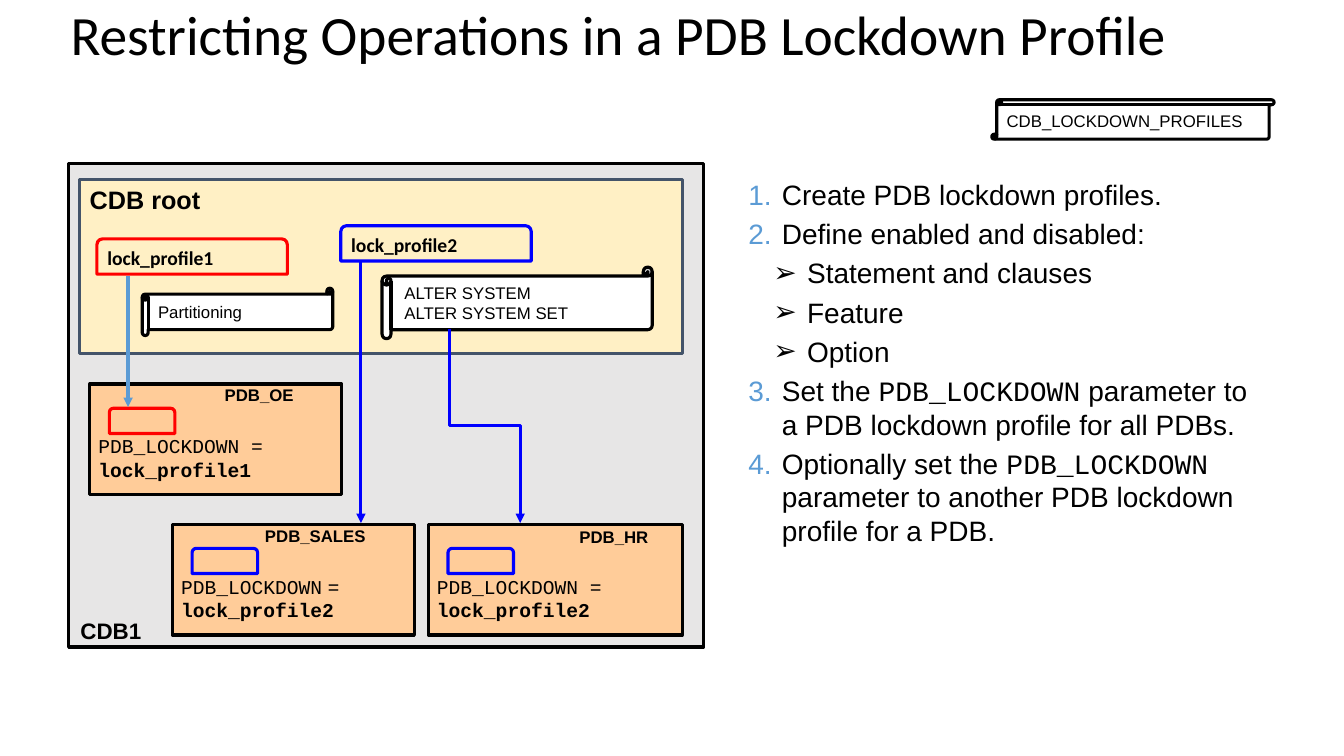
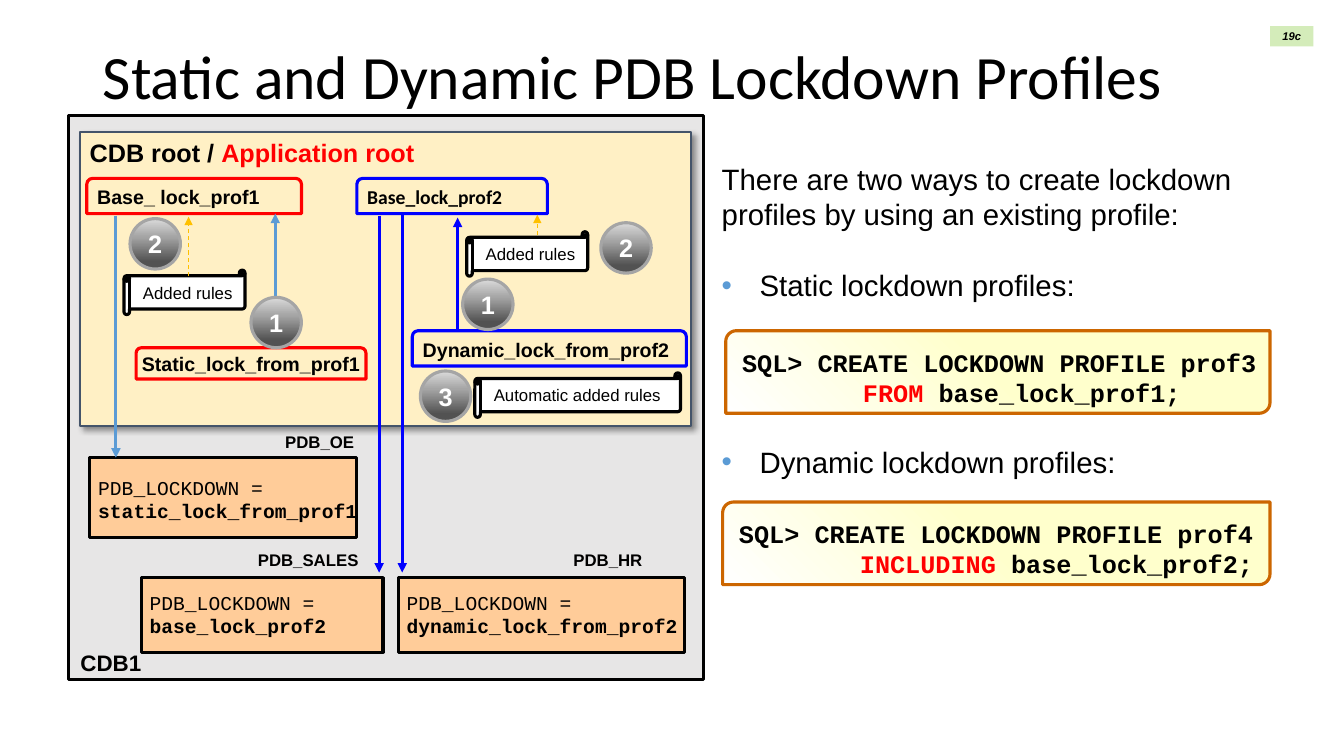
from lxml import etree
from pptx import Presentation
from pptx.dml.color import RGBColor
from pptx.enum.dml import MSO_LINE
from pptx.enum.shapes import MSO_CONNECTOR, MSO_SHAPE
from pptx.enum.text import MSO_ANCHOR, MSO_AUTO_SIZE, PP_ALIGN
from pptx.oxml.ns import qn
from pptx.util import Pt

RECT, ROUND_TOP = MSO_SHAPE.RECTANGLE, MSO_SHAPE.ROUND_2_SAME_RECTANGLE
ROUND_DIAGONAL, OVAL = MSO_SHAPE.ROUND_2_DIAG_RECTANGLE, MSO_SHAPE.OVAL
SCROLL_WIDE, SCROLL_TALL = MSO_SHAPE.HORIZONTAL_SCROLL, MSO_SHAPE.VERTICAL_SCROLL
STRAIGHT, ELBOW, DASH = MSO_CONNECTOR.STRAIGHT, MSO_CONNECTOR.ELBOW, MSO_LINE.DASH
TOP, MIDDLE = MSO_ANCHOR.TOP, MSO_ANCHOR.MIDDLE
LEFT, CENTER = PP_ALIGN.LEFT, PP_ALIGN.CENTER

BLACK, WHITE = RGBColor(0, 0, 0), RGBColor(255, 255, 255)
RED, BLUE = RGBColor(255, 0, 0), RGBColor(0, 0, 255)
SKY, GOLD = RGBColor(0x5B, 0x9B, 0xD5), RGBColor(0xFF, 0xC0, 0x00)
PANEL_GREY, CREAM = RGBColor(0xE7, 0xE6, 0xE6), RGBColor(0xFF, 0xF0, 0xC5)
PEACH, SLATE = RGBColor(0xFF, 0xCC, 0x99), RGBColor(0x44, 0x54, 0x6A)
MINT, RUST = RGBColor(0xD4, 0xEC, 0xBA), RGBColor(0xCC, 0x66, 0x00)
LEMON, SILVER = RGBColor(0xFF, 0xFF, 0xCC), RGBColor(0xA5, 0xA5, 0xA5)
PALE, CHARCOAL = RGBColor(0xDB, 0xDB, 0xDB), RGBColor(0x52, 0x52, 0x52)

MONO = {"name": "Courier New"}
MONO_BOLD = {"name": "Courier New", "bold": True}
SMALL = {"name": "Arial", "size": Pt(12)}
CODE = {**MONO_BOLD, "size": Pt(18)}
LINE_WIDTH = 2.25
NUMBERED = ("a:buAutoNum", {"type": "arabicPeriod"})
ARROWED = ("a:buChar", {"char": "➢"})
DOTTED = ("a:buChar", {"char": "•"})
PLAIN = ("a:buNone", {})


def bold(size, name="Arial"):
    return {"name": name, "size": Pt(size), "bold": True}


def apply(target, values):
    for name, value in values.items():
        setattr(target, name, value)


def points(*values):
    return [Pt(value) for value in values]


def offset(box, dx, dy, width, height):
    return box[0] + dx, box[1] + dy, width, height


def write(paragraph, runs, font):
    for text, extra in runs:
        values = {"color": BLACK, **font, **extra}
        run = paragraph.add_run()
        run.text = text
        run.font.color.rgb = values.pop("color")
        apply(run.font, values)


def fill_frame(frame, lines, font, align=LEFT, **layout):
    apply(frame, {"word_wrap": True, "vertical_anchor": TOP, **layout})
    for index, runs in enumerate(lines):
        paragraph = frame.add_paragraph() if index else frame.paragraphs[0]
        paragraph.alignment = align
        write(paragraph, runs, font)


def add_text(slide, box, runs, font):
    fill_frame(slide.shapes.add_textbox(*points(*box)).text_frame, [runs], font)


def add_block(slide, kind, box, fill=None, line=None, width=LINE_WIDTH):
    block = slide.shapes.add_shape(kind, *points(*box))
    block.shadow.inherit = False
    for paint, color in ((block.fill, fill), (block.line.fill, line)):
        if color is None:
            paint.background()
        else:
            paint.solid()
            paint.fore_color.rgb = color
    if line is not None:
        block.line.width = Pt(width)
    return block


def add_color(parent, color):
    return etree.SubElement(parent, qn("a:srgbClr"), val=str(color))


def set_gradient(block, stops, angle):
    block.fill.gradient()
    gradient = block._element.spPr.find(qn("a:gradFill"))
    stop_list = gradient.find(qn("a:gsLst"))
    for stop in list(stop_list):
        stop_list.remove(stop)
    for percent, color in stops:
        add_color(etree.SubElement(stop_list, qn("a:gs"), pos=str(percent * 1000)), color)
    gradient.find(qn("a:lin")).set("ang", str(angle * 60000))


def cast_shadow(block):
    effects = block._element.spPr.find(qn("a:effectLst"))
    shadow = etree.SubElement(effects, qn("a:outerShdw"), blurRad=str(Pt(4)),
                              dist=str(Pt(3)), dir=str(45 * 60000), rotWithShape="0")
    etree.SubElement(add_color(shadow, BLACK), qn("a:alpha"), val="40000")


def add_arrow(slide, start, end, color, kind=STRAIGHT, width=LINE_WIDTH, dash=None):
    arrow = slide.shapes.add_connector(kind, *points(*start, *end))
    arrow.line.color.rgb = color
    apply(arrow.line, {"width": Pt(width), "dash_style": dash})
    properties = arrow._element.spPr
    etree.SubElement(properties.find(qn("a:ln")), qn("a:tailEnd"), type="triangle")
    etree.SubElement(properties, qn("a:effectLst"))
    return arrow


def add_vertical_elbow(slide, start, end, color):
    center_x, center_y = (start[0] + end[0]) / 2, (start[1] + end[1]) / 2
    half_x, half_y = (end[0] - start[0]) / 2, (end[1] - start[1]) / 2
    arrow = add_arrow(slide, (center_x + half_y, center_y - half_x),
                      (center_x - half_y, center_y + half_x), color, ELBOW)
    arrow._element.spPr.find(qn("a:xfrm")).set("rot", str(270 * 60000))


def add_scroll(slide, box, texts, kind=SCROLL_WIDE, fill=WHITE, margin=9.6):
    scroll = add_block(slide, kind, box, fill, BLACK)
    fill_frame(scroll.text_frame, [[(text, {})] for text in texts], SMALL,
               vertical_anchor=MIDDLE, margin_left=Pt(margin), margin_right=0)


def add_profile(slide, box, name, color, face="Arial", margin=6.2):
    profile = add_block(slide, ROUND_TOP, box, line=color)
    fill_frame(profile.text_frame, [[(name, {})]], bold(14, face), vertical_anchor=MIDDLE,
               margin_left=Pt(margin), margin_right=0, margin_top=0, margin_bottom=0)


def add_step(slide, x, y, number):
    step = add_block(slide, OVAL, (x, y, 36, 36), WHITE, SILVER)
    set_gradient(step, [(0, PALE), (36, SILVER), (85, CHARCOAL)], 90)
    fill_frame(step.text_frame, [[(number, {"color": WHITE})]], bold(18), CENTER,
               vertical_anchor=MIDDLE, word_wrap=False)


def add_pdb(slide, box, name, name_at, setting, setting_dy, chip=None):
    add_block(slide, RECT, box, PEACH, BLACK)
    add_text(slide, offset(box, *name_at, 108, 21.6), [(name, {})], bold(12))
    add_text(slide, offset(box, -1, setting_dy, box[2] + 10, 41), setting,
             {**MONO, "size": Pt(14)})
    if chip is not None:
        add_block(slide, ROUND_TOP, offset(box, 14, 17.3, 46.8, 18), line=chip)


def setting_of(profile):
    return [("PDB_LOCKDOWN = ", {}), (profile, MONO_BOLD)]


def add_container(slide, box, root_size, root_runs, root_line):
    add_block(slide, RECT, box, PANEL_GREY, BLACK)
    add_text(slide, offset(box, 1.4, box[3] - 25, 91.4, 23), [("CDB1", {})], bold(16))
    root = add_block(slide, RECT, offset(box, 8, 11.5, *root_size), CREAM, SLATE, root_line)
    fill_frame(root.text_frame, [root_runs], bold(18))
    return root


def add_title(slide, box, text, size, margin_bottom=3.6):
    title = slide.shapes.title
    apply(title, dict(zip(("left", "top", "width", "height"), points(*box))))
    fill_frame(title.text_frame, [[(text, {})]], {"name": "Calibri", "size": Pt(size)},
               vertical_anchor=MIDDLE, auto_size=MSO_AUTO_SIZE.NONE,
               margin_bottom=Pt(margin_bottom))
    title.text_frame.paragraphs[0].line_spacing = 0.9


def add_list(slide, box, items, size):
    body = slide.placeholders[1]
    apply(body, dict(zip(("left", "top", "width", "height"), points(*box))))
    fill_frame(body.text_frame, [runs for runs, *rest in items],
               {"name": "Arial", "size": Pt(size)}, auto_size=MSO_AUTO_SIZE.NONE)
    for paragraph, (runs, marker, level, left, hang, gap) in zip(body.text_frame.paragraphs, items):
        apply(paragraph, {"level": level, "space_before": Pt(gap)})
        properties = paragraph._p.get_or_add_pPr()
        properties.set("marL", str(Pt(left)))
        properties.set("indent", str(Pt(-hang)))
        color = SKY if marker in (NUMBERED, DOTTED) else BLACK
        add_color(etree.SubElement(properties, qn("a:buClr")), color)
        tag, attributes = marker
        etree.SubElement(properties, qn(tag), attributes)


def add_code(slide, box, profile, keyword, base):
    code = add_block(slide, ROUND_DIAGONAL, box, LEMON, RUST)
    code.adjustments[0] = 0.13
    set_gradient(code, [(0, LEMON), (50, LEMON), (100, WHITE)], 135)
    lines = [[(f"SQL> CREATE LOCKDOWN PROFILE {profile}", {})],
             [(keyword, {"color": RED}), (f" {base};", {})]]
    fill_frame(code.text_frame, lines, CODE, margin_left=Pt(9.4), margin_top=Pt(9.4),
               margin_right=Pt(1.4), margin_bottom=Pt(1.4))
    code.text_frame.paragraphs[1]._p.get_or_add_pPr().set("marL", str(Pt(86.4)))


def draw_restrictions(slide, box):
    def at(dx, dy, *size):
        return (box[0] + dx, box[1] + dy, *size)

    add_container(slide, box, (430.6, 124.6), [("CDB root", {})], LINE_WIDTH)
    spaced = [("PDB_LOCKDOWN", {}), (" = ", {"name": "Arial"}), ("lock_profile2", MONO_BOLD)]
    for pdb_box, name, name_at, setting, chip in (
            (at(74.2, 257.8, 172.8, 79.2), "PDB_SALES", (59, -2.2), spaced, BLUE),
            (at(257, 257.8, 181.4, 79.2), "PDB_HR", (100.8, -1.8),
             setting_of("lock_profile2"), BLUE),
            (at(15.1, 157.7, 180, 79.2), "PDB_OE", (89.3, -2.9),
             setting_of("lock_profile1"), RED)):
        add_pdb(slide, pdb_box, name, name_at, setting, 32.4, chip)
    add_profile(slide, at(20.2, 54, 136.1, 25.2), "lock_profile1", RED, "Calibri")
    add_scroll(slide, at(52.6, 89.3, 136.1, 33.8), ["Partitioning"], margin=7.2)
    add_scroll(slide, at(223.9, 74.2, 193, 51.1), ["ALTER SYSTEM", "ALTER SYSTEM SET"])
    add_profile(slide, at(194.4, 44.6, 136.1, 25.2), "lock_profile2", BLUE, "Calibri")
    add_arrow(slide, at(42.5, 80.6), at(42.5, 174.2), SKY)
    add_vertical_elbow(slide, at(272.2, 118.1), at(322.6, 257), BLUE)
    add_arrow(slide, at(208.8, 69.8), at(208.8, 257), BLUE)


def draw_inheritance(slide, box):
    def at(dx, dy, *size):
        return (box[0] + dx, box[1] + dy, *size)

    root = add_container(slide, box, (436.3, 210.2), [
        ("CDB root / ", {}), ("Application root", {"color": RED})], 1.5)
    cast_shadow(root)
    for pdb_box, name, name_at, profile, setting_dy in (
            (at(51.8, 329.8, 172.8, 53.3), "PDB_SALES", (76.3, -23.8), "base_lock_prof2", 5.8),
            (at(235.4, 329.8, 204.5, 53.3), "PDB_HR", (118.1, -23.8),
             "dynamic_lock_from_prof2", 5.8),
            (at(15.1, 244.1, 190.8, 56.9), "PDB_OE", (132.5, -22.3),
             "static_lock_from_prof1", 9.4)):
        add_pdb(slide, pdb_box, name, name_at, setting_of(profile), setting_dy)
    add_profile(slide, at(13, 44.6, 153.4, 25.2), "Base_ lock_prof1", RED)
    add_profile(slide, at(205.9, 44.6, 136.1, 25.2), "Base_lock_prof2", BLUE, "Calibri")
    add_profile(slide, at(48.2, 165.6, 164.2, 22.3), "Static_lock_from_prof1", RED, margin=3)
    add_profile(slide, at(245.5, 153.4, 195.8, 25.2), "Dynamic_lock_from_prof2", BLUE)
    for x, start, end, color in ((33.8, 71.3, 244.1, SKY), (221.8, 71.3, 326.2, BLUE),
                                 (238.3, 70.6, 326.2, BLUE), (147.6, 166.3, 69.8, SKY),
                                 (277.9, 153.4, 72.7, BLUE)):
        add_arrow(slide, at(x, start), at(x, end), color)
    for x, y, width, rule in ((39.6, 110.2, 86.4, "Added rules"),
                              (284.4, 82.8, 86.4, "Added rules"),
                              (290.2, 183.6, 146.9, "Automatic added rules")):
        add_scroll(slide, at(x, y, width, 31.7), [rule])
    for x, start, end in ((85.7, 114.5, 72), (334.8, 85, 70.6)):
        add_arrow(slide, at(x, start), at(x, end), GOLD, width=0.75, dash=DASH)
    for x, y, number in ((130.3, 129.6, "1"), (43.9, 73.4, "2"), (281.5, 116.6, "1"),
                         (380.2, 76.3, "2"), (251.3, 182.2, "3")):
        add_step(slide, *at(x, y), number)


def build_restricting(slide):
    add_title(slide, (43.2, 3.6, 838.8, 46.8),
              "Restricting Operations in a PDB Lockdown Profile", 39.6)
    draw_restrictions(slide, (49, 116.6, 453.6, 345.6))
    number, detail = (NUMBERED, 0, 48, 24, 4), (ARROWED, 1, 66, 24, 4)
    parameter = ("PDB_LOCKDOWN", MONO)
    add_list(slide, (503.3, 123.1, 406.8, 273.6), [
        ([("Create PDB lockdown profiles.", {})], *number),
        ([("Define enabled and disabled:", {})], *number),
        *[([(text, {})], *detail) for text in ("Statement and clauses", "Feature", "Option")],
        ([("Set the ", {}), parameter,
          (" parameter to a PDB lockdown profile for all PDBs.", {})], *number),
        ([("Optionally set the ", {}), parameter,
          (" parameter to another PDB lockdown profile for a PDB.", {})], *number)], 20)
    add_scroll(slide, (708.5, 71.3, 201.6, 28.1), ["CDB_LOCKDOWN_PROFILES"],
               SCROLL_TALL, None, 7.2)


def build_static_dynamic(slide):
    add_title(slide, (66.2, 28.8, 828, 104.4),
              "Static and Dynamic PDB Lockdown Profiles", 44, 52)
    badge = add_block(slide, RECT, (907.2, 18.7, 31, 14.4), MINT)
    fill_frame(badge.text_frame, [[("19c", {"italic": True})]], bold(8), CENTER,
               vertical_anchor=MIDDLE, margin_left=0, margin_right=0,
               margin_top=0, margin_bottom=0)
    draw_inheritance(slide, (49, 82.8, 453.6, 402.5))
    intro = "There are two ways to create lockdown profiles by using an existing profile:"
    add_list(slide, (508.3, 111.6, 415.4, 236.2), [
        ([(intro, {})], PLAIN, 0, 0, 0, 0),
        ([("Static lockdown profiles:", {})], DOTTED, 0, 27, 27, 25.5),
        ([("Dynamic lockdown profiles:", {})], DOTTED, 0, 27, 27, 101)], 21)
    add_code(slide, (518.4, 236.2, 388.8, 59), "prof3", "FROM", "base_lock_prof1")
    add_code(slide, (516.2, 358.6, 391, 59), "prof4", "INCLUDING", "base_lock_prof2")


deck = Presentation()
apply(deck, {"slide_width": Pt(960), "slide_height": Pt(540)})
for build in (build_restricting, build_static_dynamic):
    build(deck.slides.add_slide(deck.slide_layouts[1]))
deck.save("out.pptx")
